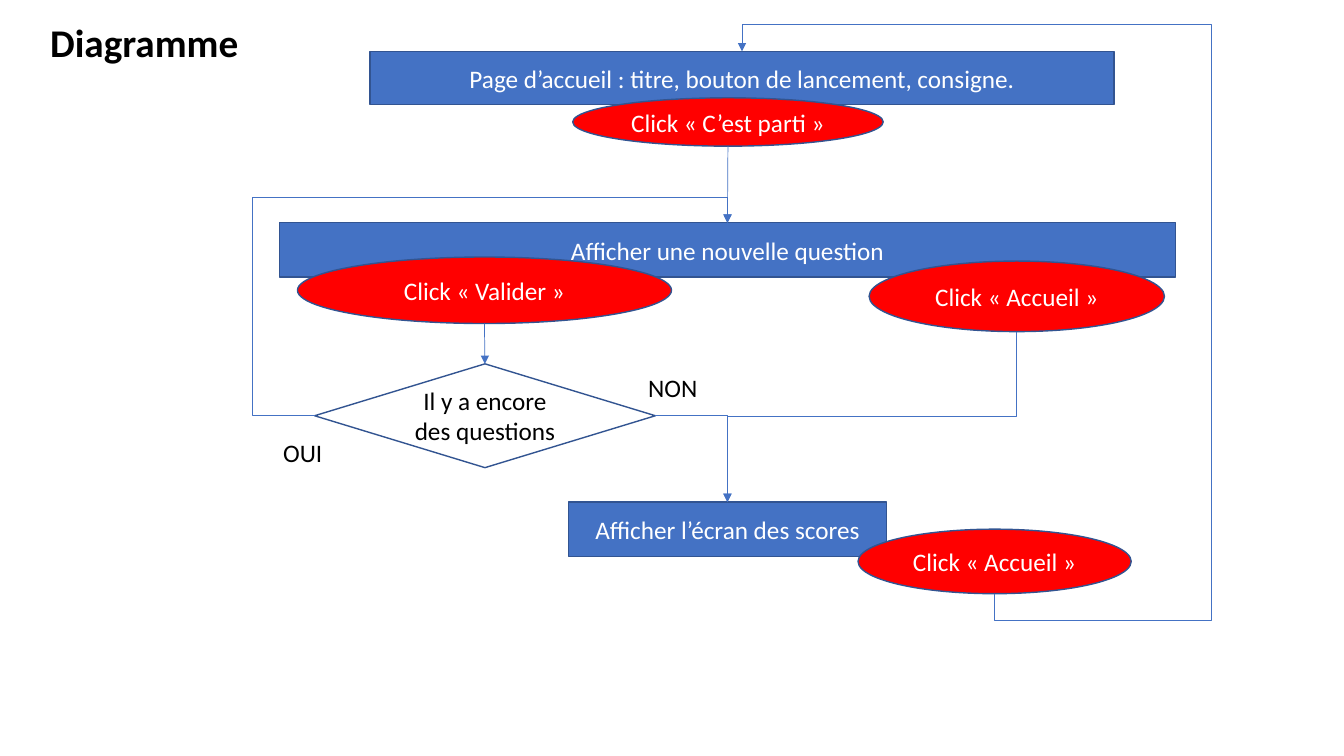
from lxml import etree
from pptx import Presentation
from pptx.dml.color import RGBColor
from pptx.enum.shapes import MSO_CONNECTOR, MSO_SHAPE
from pptx.enum.text import MSO_ANCHOR, PP_ALIGN
from pptx.oxml.ns import qn
from pptx.util import Inches, Pt

RECT, OVAL = MSO_SHAPE.RECTANGLE, MSO_SHAPE.OVAL
DECISION = MSO_SHAPE.FLOWCHART_DECISION
STRAIGHT, ELBOW = MSO_CONNECTOR.STRAIGHT, MSO_CONNECTOR.ELBOW
MIDDLE, TOP_ANCHOR = MSO_ANCHOR.MIDDLE, MSO_ANCHOR.TOP
CENTER, LEFT_ALIGN = PP_ALIGN.CENTER, PP_ALIGN.LEFT
TOP, LEFT, BOTTOM, RIGHT = range(4)
OVAL_BOTTOM = 4  # an ellipse has eight connection sites

BLUE, OUTLINE, RED = "4472C4", "325491", "FF0000"
WHITE, BLACK = "FFFFFF", "000000"


def color(hex_string):
    return RGBColor.from_string(hex_string)


class Flowchart:
    font = "Calibri"
    size = 18

    def __init__(self, slide):
        self.slide = slide

    def set_text(self, shape, text, ink, align, anchor, size=None, bold=False):
        frame = shape.text_frame
        frame.word_wrap = True
        frame.vertical_anchor = anchor
        paragraph = frame.paragraphs[0]
        paragraph.text = text
        paragraph.alignment = align
        font = paragraph.font
        font.name, font.size, font.bold = self.font, Pt(size or self.size), bold
        font.color.rgb = color(ink)
        return paragraph

    def label(self, text, box, anchor=TOP_ANCHOR, **style):
        area = self.slide.shapes.add_textbox(*map(Inches, box))
        return self.set_text(area, text, BLACK, LEFT_ALIGN, anchor, **style)

    def node(self, kind, text, box, fill, ink=WHITE):
        shape = self.slide.shapes.add_shape(kind, *map(Inches, box))
        shape.shadow.inherit = False
        if fill:
            shape.fill.solid()
            shape.fill.fore_color.rgb = color(fill)
        else:
            shape.fill.background()
        shape.line.color.rgb = color(OUTLINE)
        shape.line.width = Pt(1)
        self.set_text(shape, text, ink, CENTER, MIDDLE)
        return shape

    def step(self, text, box):
        return self.node(RECT, text, box, BLUE)

    def click(self, button, box):
        return self.node(OVAL, f"Click « {button} »", box, RED)

    def arrow(self, source, side, target, kind=STRAIGHT):
        """Arrow from a side of the source to the top of the target."""
        link = self.slide.shapes.add_connector(kind, 0, 0, 0, 0)
        link.begin_connect(source, side)
        link.end_connect(target, TOP)
        if source.auto_shape_type == OVAL:
            start = next(link._element.iter(qn("a:stCxn")))
            start.set("idx", str(OVAL_BOTTOM))
        link.line.color.rgb = color(BLUE)
        link.line.width = Pt(0.5)
        properties = link._element.spPr
        etree.SubElement(properties.find(qn("a:ln")), qn("a:tailEnd"),
                         type="triangle")
        etree.SubElement(properties, qn("a:effectLst"))
        return link

    def bent_arrow(self, source, side, target, bends, turn, flip, adjust=()):
        link = self.arrow(source, side, target, ELBOW)
        x1, y1, x2, y2 = link.begin_x, link.begin_y, link.end_x, link.end_y
        width, height = abs(x2 - x1), abs(y2 - y1)
        if turn == 90:  # the frame is stored before its rotation
            width, height = height, width
        link.left, link.top = (x1 + x2 - width) // 2, (y1 + y2 - height) // 2
        link.width, link.height = width, height
        frame = link._element.spPr.find(qn("a:xfrm"))
        frame.set("rot", str(turn * 60000))
        frame.set("flipH", str(int(flip)))
        frame.set("flipV", "0")
        geometry = link._element.spPr.find(qn("a:prstGeom"))
        geometry.set("prst", f"bentConnector{bends}")
        guides = geometry.find(qn("a:avLst"))
        for number, share in enumerate(adjust, 1):
            etree.SubElement(guides, qn("a:gd"), name=f"adj{number}",
                             fmla=f"val {round(share * 100000)}")


def main():
    deck = Presentation()
    deck.slide_width, deck.slide_height = Inches(13.33), Inches(7.5)
    chart = Flowchart(deck.slides.add_slide(deck.slide_layouts[6]))

    # Title
    title = chart.label("Diagramme", (0.4, 0.13, 11.5, 0.62), MIDDLE,
                        size=28, bold=True)
    title.line_spacing = 0.9

    # Screens and their buttons
    home = chart.step("Page d’accueil : titre, bouton de lancement, consigne.",
                      (3.67, 0.51, 7.38, 0.53))
    start = chart.click("C’est parti", (5.68, 0.97, 3.08, 0.48))
    question = chart.step("Afficher une nouvelle question",
                          (2.77, 2.21, 8.89, 0.54))
    validate = chart.click("Valider", (2.95, 2.55, 3.71, 0.66))
    leave_quiz = chart.click("Accueil", (8.62, 2.59, 2.93, 0.7))
    scores = chart.step("Afficher l’écran des scores", (5.64, 4.98, 3.15, 0.54))
    leave_scores = chart.click("Accueil", (8.51, 5.25, 2.71, 0.64))

    # Decision and its answers
    more = chart.node(DECISION, "Il y a encore des questions",
                      (3.12, 3.61, 3.38, 1.03), None, BLACK)
    chart.label("OUI", (2.71, 4.29, 0.74, 0.4))
    chart.label("NON", (6.33, 3.64, 0.74, 0.4))

    # Flow
    chart.arrow(start, BOTTOM, question)
    chart.arrow(validate, BOTTOM, more)
    chart.bent_arrow(leave_quiz, BOTTOM, scores, 3, 90, False, (0.5,))
    chart.bent_arrow(more, LEFT, question, 4, 180, True, (-0.15, 1.13))
    chart.bent_arrow(more, RIGHT, scores, 2, 0, False)
    chart.bent_arrow(leave_scores, BOTTOM, home, 5, 90, True,
                     (-0.05, -0.86, 1.05))

    deck.save("out.pptx")


if __name__ == "__main__":
    main()
